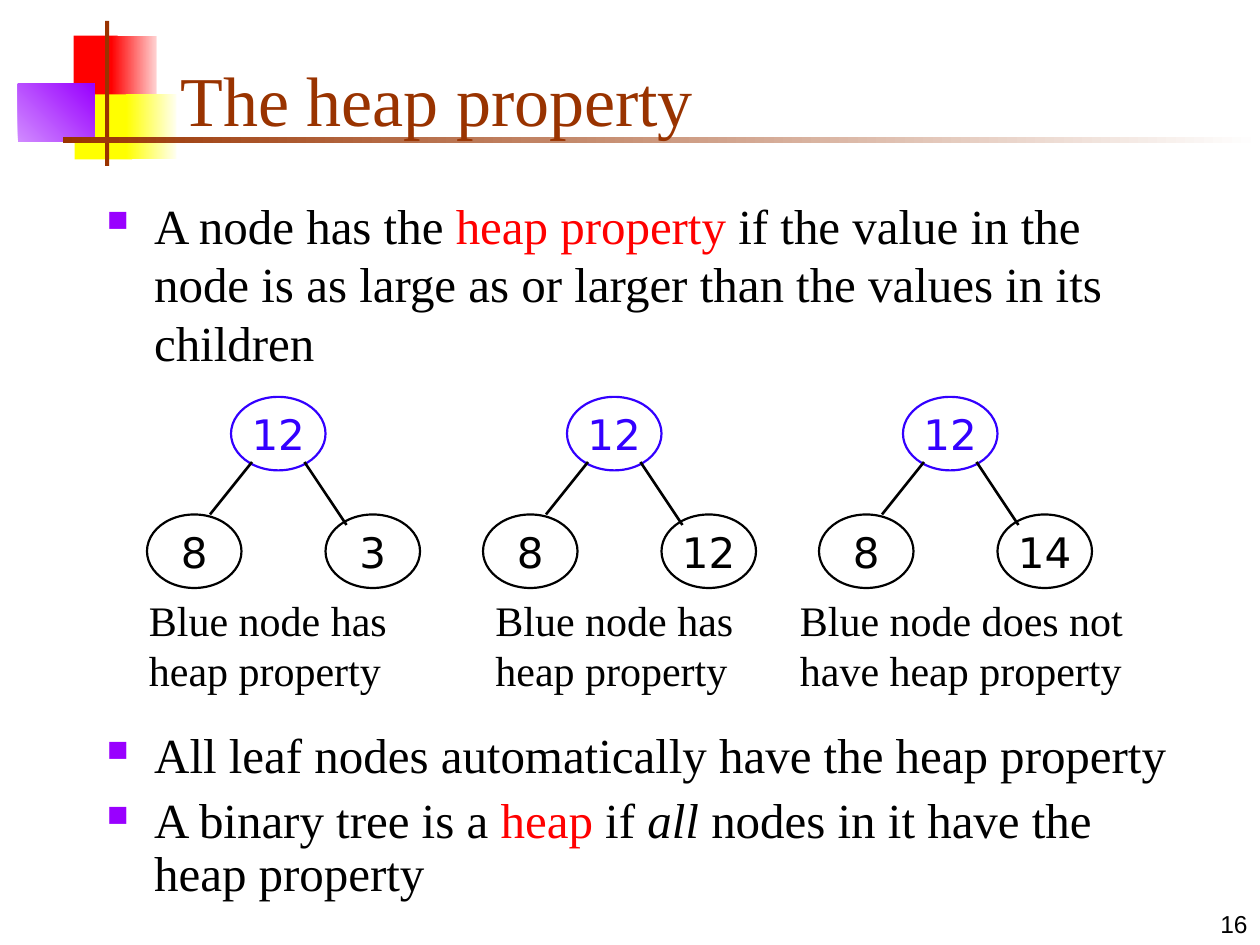
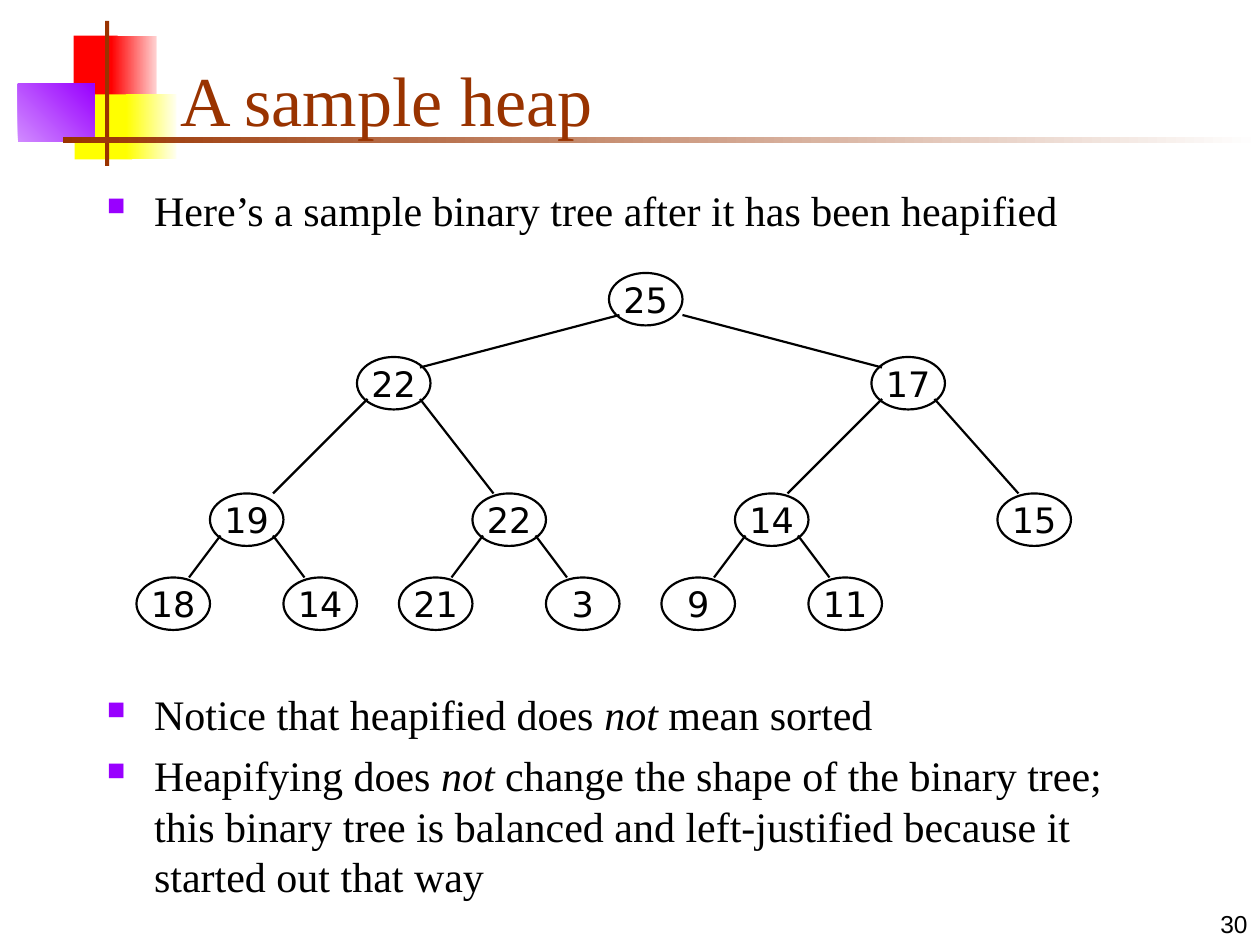
import pptx
import pptx.util
import pptx.dml.color
import pptx.enum.shapes
import pptx.enum.text
import pptx.oxml.ns
import lxml.etree

HUE = {"red": "FF0000", "rose": "FFD1D1", "gold": "FFFF00", "cream": "FFFFF0",
       "lilac": "D18BFF", "violet": "9900FF", "rust": "993300",
       "white": "FFFFFF", "black": "000000", "blue": "3300FF"}
COLS, ROWS = 120, 90
WIDE, HIGH = pptx.util.Inches(10), pptx.util.Inches(7.5)
SERIF, SANS = "Times New Roman", "DejaVu Sans"
SHAPE = pptx.enum.shapes.MSO_SHAPE
ALIGN = pptx.enum.text.PP_ALIGN
ANCHOR = pptx.enum.text.MSO_ANCHOR
BAND = [((7, 3.4, 4.2, 6.2), "red", None, 0),
        ((10.6, 3.4, 4.3, 6.2), "red", "rose", 0),
        ((7.1, 9, 5.5, 6.2), "gold", None, 0),
        ((12, 9, 4.8, 6.2), "gold", "cream", 0),
        ((1.7, 8, 7.3, 5.5), "lilac", "violet", 45),
        ((10, 2, 0.4, 13.8), "rust", None, 0),
        ((6, 13, 114, 0.6), "rust", "white", 0)]


def rgb(name):
    """Return the named colour."""
    return pptx.dml.color.RGBColor.from_string(HUE[name])


def grid(*cells):
    """Turn alternating columns and rows into slide lengths."""
    unit = (WIDE / COLS, HIGH / ROWS)
    return [round(cell * unit[n % 2]) for n, cell in enumerate(cells)]


def style(item, **look):
    """Set each given attribute on an object."""
    for key, val in look.items():
        setattr(item, key, val)


def ink(font, size, name=SERIF, hue="black"):
    """Format a font."""
    style(font, size=pptx.util.Pt(size), name=name)
    font.color.rgb = rgb(hue)


def band(slide, layout):
    """Build the corner blocks and title rule on the layout."""
    for n, (box, hue, fade, turn) in enumerate(BAND):
        block = slide.shapes.add_shape(SHAPE.RECTANGLE, *grid(*box))
        block.shadow.inherit = False
        block.line.fill.background()
        if fade:
            block.fill.gradient()
            block.fill.gradient_angle = turn
            for stop, tone in zip(block.fill.gradient_stops, (hue, fade)):
                stop.color.rgb = rgb(tone)
        else:
            block.fill.solid()
            block.fill.fore_color.rgb = rgb(hue)
        block.element.nvSpPr.cNvPr.set("id", str(50 + n))
        layout.shapes.element.append(block.element)


def frame(slide, title, page):
    """Place the title and the page number."""
    head = slide.shapes.title
    style(head, **dict(zip(("left", "top", "width", "height"), grid(16, 3, 102.2, 11))))
    style(head.text_frame, text=title, vertical_anchor=ANCHOR.BOTTOM, word_wrap=True)
    para = head.text_frame.paragraphs[0]
    para.alignment = ALIGN.LEFT
    ink(para.font, 40, hue="rust")
    foot = note(slide, (95, 84, 25, 6), page, 14, "Arial")
    foot.vertical_anchor = ANCHOR.BOTTOM
    foot.paragraphs[0].alignment = ALIGN.RIGHT


def note(slide, box, text, size, name=SERIF):
    """Add a wrapped text box and return its frame."""
    body = slide.shapes.add_textbox(*grid(*box)).text_frame
    style(body, word_wrap=True, text=text)
    ink(body.paragraphs[0].font, size, name)
    return body


def mark(para):
    """Give a paragraph the square bullet and hanging indent."""
    props = para._p.get_or_add_pPr()
    indent = pptx.util.Inches(0.375)
    props.set("marL", str(indent))
    props.set("indent", str(-indent))
    tag = pptx.oxml.ns.qn
    tint = lxml.etree.SubElement(props, tag("a:buClr"))
    lxml.etree.SubElement(tint, tag("a:srgbClr"), val=HUE["violet"])
    lxml.etree.SubElement(props, tag("a:buSzPct"), val="60000")
    lxml.etree.SubElement(props, tag("a:buChar"), char="■")


def points(slide, box, items, size, lead=None):
    """Add bullet points; a run is (text, "red" or "italic" or "")."""
    body = slide.shapes.add_textbox(*grid(*box)).text_frame
    body.word_wrap = True
    for n, runs in enumerate(items):
        para = body.add_paragraph() if n else body.paragraphs[0]
        mark(para)
        if n:
            para.space_before = pptx.util.Pt(size / 4)
        if lead:
            para.line_spacing = lead
        for text, kind in runs:
            run = para.add_run()
            run.text = text
            ink(run.font, size, hue="red" if kind == "red" else "black")
            if kind == "italic":
                run.font.italic = True


def node(slide, box, value, size, hue="black"):
    """Draw one tree node."""
    oval = slide.shapes.add_shape(SHAPE.OVAL, *grid(*box))
    oval.shadow.inherit = False
    oval.fill.background()
    oval.line.color.rgb = rgb(hue)
    oval.line.width = pptx.util.Pt(1.25)
    style(oval.text_frame, text=str(value), word_wrap=False, vertical_anchor=ANCHOR.MIDDLE)
    para = oval.text_frame.paragraphs[0]
    para.alignment = ALIGN.CENTER
    ink(para.font, size, SANS, hue)


def edge(slide, ends, width):
    """Draw one tree edge."""
    line = slide.shapes.add_connector(
        pptx.enum.shapes.MSO_CONNECTOR.STRAIGHT, *grid(*ends))
    line.line.color.rgb = rgb("black")
    line.line.width = pptx.util.Pt(width)
    lxml.etree.SubElement(line.element.spPr, pptx.oxml.ns.qn("a:effectLst"))


def trio(slide, box, values):
    """Draw a blue root with two leaves."""
    x, y, w, h = box
    spots = [(x + 8, y), (x, y + 11.2), (x + w - 9, y + 11.2)]
    for spot, value, hue in zip(spots, values, ("blue", "black", "black")):
        node(slide, (*spot, 9, h - 11.2), value, 24, hue)
    edge(slide, (x + 10, y + 6.2, x + 6, y + 11.2), 1.5)
    edge(slide, (x + 15, y + 6.2, x + 19, y + 12.2), 1.5)


def heap(slide, box):
    """Draw the four-level sample heap."""
    x, y, w, h = box
    tops = [(45, 0, 25), (21, 8, 22), (70, 8, 17)]
    links = [(46, 4, 27, 9), (52, 4, 71, 9), (22, 12, 13, 21),
             (27, 12, 34, 21), (71, 12, 62, 21), (76, 12, 84, 21)]
    rows = [(19, 18, 14), (22, 21, 3), (14, 9, 11), (15,)]
    for n, (value, *leaves) in enumerate(rows):
        left = 7 + 25 * n
        tops.append((left, 21, value))
        for side, leaf in zip((-1, 1), leaves):
            tops.append((left + 7 * side, h - 5, leaf))
            mid = left + 3.5
            links.append((mid + 2.5 * side, 25, mid + 5.5 * side, h - 5))
    for col, row, value in tops:
        node(slide, (x + col, y + row, 7, 5), value, 20)
    for a, b, c, d in links:
        edge(slide, (x + a, y + b, x + c, y + d), 1.25)


def rule(slide):
    """Fill the heap property slide."""
    frame(slide, "The heap property", "16")
    points(slide, (9, 18, 102, 19), [
        [("A node has the ", ""), ("heap property", "red"),
         (" if the value in the node is as large as or larger than the values in its children", "")]], 28)
    points(slide, (9, 69, 105, 18), [
        [("All leaf nodes automatically have the heap property", "")],
        [("A binary tree is a ", ""), ("heap", "red"), (" if ", ""), ("all", "italic"),
         (" nodes in it have the heap property", "")]], 28, 0.9)
    cases = [((12, 8, 3), 13, 26, "has"), ((12, 8, 12), 46, 26, "has"),
             ((12, 8, 14), 75, 34, "does not have")]
    for n, (values, left, width, verb) in enumerate(cases):
        trio(slide, (14 + 32 * n, 37.8, 26, 18.2), values)
        note(slide, (left, 56, width, 10.8), f"Blue node {verb} heap property", 24)


def sample(slide):
    """Fill the sample heap slide."""
    frame(slide, "A sample heap", "30")
    points(slide, (9, 17, 102, 10), [
        [("Here’s a sample binary tree after it has been heapified", "")]], 24)
    points(slide, (9, 65, 102, 22), [
        [("Notice that heapified does ", ""), ("not", "italic"), (" mean sorted", "")],
        [("Heapifying does ", ""), ("not", "italic"),
         (" change the shape of the binary tree; this binary tree is balanced and"
          " left-justified because it started out that way", "")]], 24)
    heap(slide, (13, 26, 89, 34))


def main():
    """Build and save the slides."""
    deck = pptx.Presentation()
    style(deck, slide_width=WIDE, slide_height=HIGH)
    layout = deck.slide_layouts[5]
    for n, fill in enumerate((rule, sample)):
        slide = deck.slides.add_slide(layout)
        if n == 0:
            band(slide, layout)
        fill(slide)
    deck.save("out.pptx")


if __name__ == "__main__":
    main()
